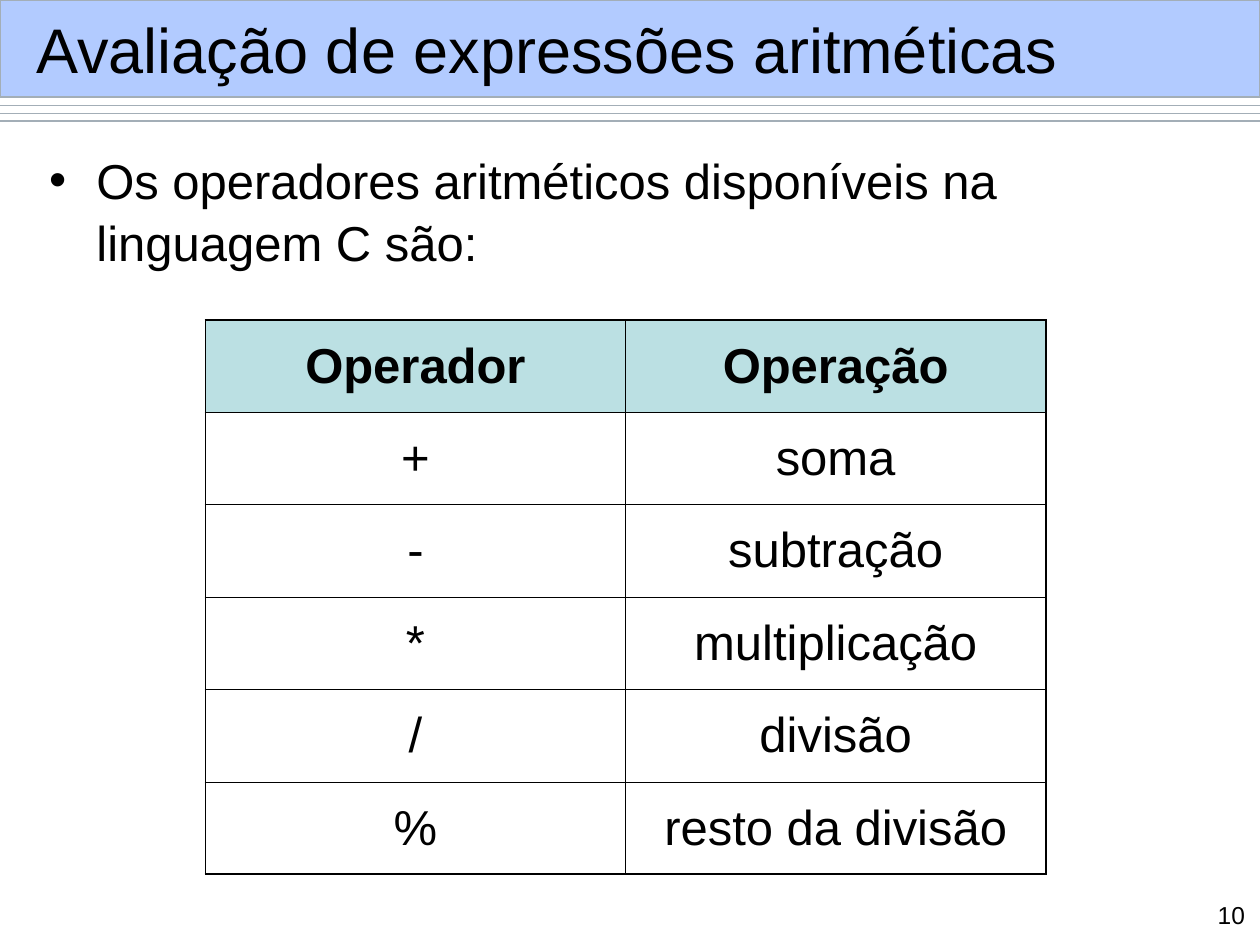
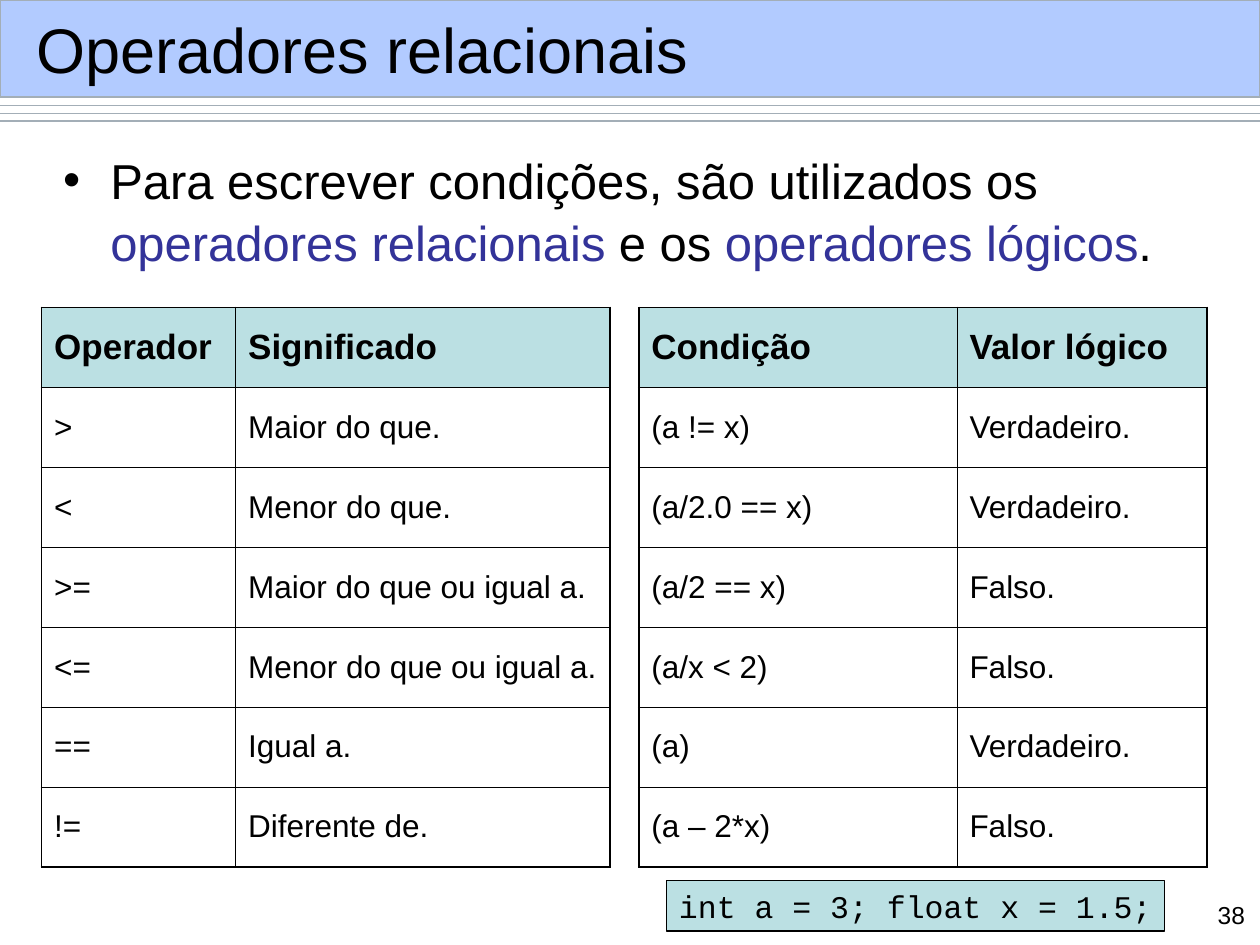
from dataclasses import dataclass
from typing import Any

from lxml.etree import SubElement
from pptx import Presentation
from pptx.dml.color import RGBColor
from pptx.enum.shapes import MSO_CONNECTOR, MSO_SHAPE
from pptx.enum.text import MSO_ANCHOR, MSO_AUTO_SIZE, PP_ALIGN
from pptx.oxml.ns import qn
from pptx.util import Inches, Pt


# Theme and grid
@dataclass(frozen=True)
class Theme:
    text: str = "000000"
    highlight: str = "333399"
    band: str = "6699FF"
    rule: str = "A3AEB7"
    panel: str = "BBE0E3"
    font: str = "Arial"
    code_font: str = "Courier New"
    title_size: int = 36
    body_size: int = 28
    header_size: int = 20
    small_size: int = 18
    number_size: int = 14
    thin_line: float = 0.75
    outer_border: float = 1.08
    inner_border: float = 0.45


THEME = Theme()
SLIDE_WIDTH, SLIDE_HEIGHT = Inches(10), Inches(7.5)
GRID_COLUMNS, GRID_ROWS = 100, 75


@dataclass(frozen=True)
class Box:
    """A place on the slide, in grid columns and rows."""
    column: float
    row: float
    width: float
    height: float


@dataclass(frozen=True)
class TableContent:
    box: Box
    column_widths: tuple[float, ...]
    rows: list[tuple[str, ...]]
    header_size: int = THEME.header_size
    body_size: int = THEME.small_size
    alignment: Any = PP_ALIGN.LEFT


@dataclass(frozen=True)
class SlideContent:
    title: str
    number: int
    body_box: Box
    body: list[tuple[str, str]]
    tables: list[TableContent]
    code: str = ""


TITLE_BOX = Box(1.9, 0.9, 96.4, 5.9)
NUMBER_BOX = Box(90.7, 70.9, 9.1, 2.6)
BAND_BOX = Box(0, 0, GRID_COLUMNS, 7.7)
CODE_BOX = Box(52.9, 69.9, 39.5, 4)
RULE_ROWS = (8.4, 9, 9.6)


def across(columns: float) -> int:
    return round(SLIDE_WIDTH * columns / GRID_COLUMNS)


def down(rows: float) -> int:
    return round(SLIDE_HEIGHT * rows / GRID_ROWS)


def place(box: Box) -> tuple[int, int, int, int]:
    return across(box.column), down(box.row), across(box.width), down(box.height)


# Formatting helpers
def set_attributes(target: Any, values: dict[str, Any]) -> None:
    for name, value in values.items():
        setattr(target, name, value)


def add_run(paragraph: Any, text: str, size: int, color: str = THEME.text,
            font: str = THEME.font, bold: bool = False) -> None:
    run = paragraph.add_run()
    run.text = text
    set_attributes(run.font, {"name": font, "size": Pt(size), "bold": bold})
    run.font.color.rgb = RGBColor.from_string(color)


def format_frame(frame: Any, anchor: Any = MSO_ANCHOR.TOP, wrap: bool = True,
                 auto_size: Any = MSO_AUTO_SIZE.NONE,
                 alignment: Any = PP_ALIGN.LEFT) -> Any:
    set_attributes(frame, {"word_wrap": wrap, "auto_size": auto_size,
                           "vertical_anchor": anchor})
    paragraph = frame.paragraphs[0]
    set_attributes(paragraph, {"alignment": alignment, "space_before": Pt(0)})
    return paragraph


def move_to(shape: Any, box: Box) -> None:
    set_attributes(shape, dict(zip(("left", "top", "width", "height"), place(box))))


def format_line(line: Any, color: str) -> None:
    line.color.rgb = RGBColor.from_string(color)
    line.width = Pt(THEME.thin_line)


def add_panel(slide: Any, box: Box, fill: str, line: str) -> Any:
    shape = slide.shapes.add_shape(MSO_SHAPE.RECTANGLE, *place(box))
    shape.shadow.inherit = False
    shape.fill.solid()
    shape.fill.fore_color.rgb = RGBColor.from_string(fill)
    format_line(shape.line, line)
    return shape


# Shared header: drawn once, then moved to the layout
def add_header(slide: Any) -> None:
    parts = []
    for row in RULE_ROWS:
        rule = slide.shapes.add_connector(
            MSO_CONNECTOR.STRAIGHT, 0, down(row), SLIDE_WIDTH, down(row))
        format_line(rule.line, THEME.rule)
        SubElement(rule._element.spPr, qn("a:effectLst"))
        parts.append(rule)
    band = add_panel(slide, BAND_BOX, THEME.band, THEME.rule)
    color = band._element.spPr.find(qn("a:solidFill"))[0]
    SubElement(color, qn("a:alpha"), val="50000")
    parts.append(band)
    layout_tree = slide.slide_layout.shapes._spTree
    for index, part in enumerate(parts):
        part._element.xpath("./*/p:cNvPr")[0].set("id", str(100 + index))
        layout_tree.insert(2 + index, part._element)


# Tables
def add_border(cell: Any, side: str, outer: bool) -> None:
    width = Pt(THEME.outer_border if outer else THEME.inner_border)
    border = SubElement(cell._tc.get_or_add_tcPr(), qn(f"a:ln{side}"), w=str(width))
    fill = SubElement(border, qn("a:solidFill"))
    SubElement(fill, qn("a:srgbClr"), val=THEME.text)


def add_table(slide: Any, content: TableContent) -> None:
    last_row = len(content.rows) - 1
    last_column = len(content.column_widths) - 1
    table = slide.shapes.add_table(
        last_row + 1, last_column + 1, *place(content.box)).table
    set_attributes(table, {"first_row": False, "horz_banding": False})
    for column, width in zip(table.columns, content.column_widths):
        column.width = across(width)
    for row_index, texts in enumerate(content.rows):
        header = row_index == 0
        for column_index, text in enumerate(texts):
            cell = table.cell(row_index, column_index)
            for side, outer in (("L", column_index == 0),
                                ("R", column_index == last_column),
                                ("T", header),
                                ("B", row_index == last_row)):
                add_border(cell, side, outer)
            if header:
                cell.fill.solid()
                cell.fill.fore_color.rgb = RGBColor.from_string(THEME.panel)
            else:
                cell.fill.background()
            cell.vertical_anchor = MSO_ANCHOR.MIDDLE
            paragraph = cell.text_frame.paragraphs[0]
            paragraph.alignment = content.alignment
            size = content.header_size if header else content.body_size
            add_run(paragraph, text, size, bold=header)


# Whole slide
def fill_slide(slide: Any, content: SlideContent) -> None:
    title, body = slide.shapes.title, slide.placeholders[1]
    move_to(title, TITLE_BOX)
    paragraph = format_frame(title.text_frame, MSO_ANCHOR.MIDDLE)
    add_run(paragraph, content.title, THEME.title_size)

    move_to(body, content.body_box)
    paragraph = format_frame(body.text_frame)
    paragraph.line_spacing = 1.05
    for text, color in content.body:
        add_run(paragraph, text, THEME.body_size, color)

    for table in content.tables:
        add_table(slide, table)

    if content.code:
        panel = add_panel(slide, CODE_BOX, THEME.panel, THEME.text)
        paragraph = format_frame(panel.text_frame, wrap=False,
                                 auto_size=MSO_AUTO_SIZE.SHAPE_TO_FIT_TEXT)
        add_run(paragraph, content.code, THEME.small_size, font=THEME.code_font)

    number = slide.shapes.add_textbox(*place(NUMBER_BOX))
    paragraph = format_frame(number.text_frame, alignment=PP_ALIGN.RIGHT)
    add_run(paragraph, str(content.number), THEME.number_size)


# Content
SLIDES = [
    SlideContent(
        title="Avaliação de expressões aritméticas",
        number=10,
        body_box=Box(2.9, 11.2, 94.6, 61.6),
        body=[("Os operadores aritméticos disponíveis na linguagem C são:", THEME.text)],
        tables=[TableContent(
            Box(16.3, 25.4, 66.7, 44), (33.35, 33.35),
            [("Operador", "Operação"), ("+", "soma"), ("-", "subtração"),
             ("*", "multiplicação"), ("/", "divisão"), ("%", "resto da divisão")],
            THEME.body_size, THEME.body_size, PP_ALIGN.CENTER)],
    ),
    SlideContent(
        title="Operadores relacionais",
        number=38,
        body_box=Box(4, 11.2, 92.5, 60.5),
        body=[("Para escrever condições, são utilizados os ", THEME.text),
              ("operadores relacionais", THEME.highlight),
              (" e os ", THEME.text),
              ("operadores lógicos", THEME.highlight),
              (".", THEME.text)],
        tables=[
            TableContent(
                Box(3.3, 24.4, 45.1, 44.4), (15.4, 29.7),
                [("Operador", "Significado"), (">", "Maior do que."),
                 ("<", "Menor do que."), (">=", "Maior do que ou igual a."),
                 ("<=", "Menor do que ou igual a."), ("==", "Igual a."),
                 ("!=", "Diferente de.")]),
            TableContent(
                Box(50.7, 24.4, 45.1, 44.4), (25.25, 19.85),
                [("Condição", "Valor lógico"), ("(a != x)", "Verdadeiro."),
                 ("(a/2.0 == x)", "Verdadeiro."), ("(a/2 == x)", "Falso."),
                 ("(a/x < 2)", "Falso."), ("(a)", "Verdadeiro."),
                 ("(a – 2*x)", "Falso.")]),
        ],
        code="int a = 3; float x = 1.5;",
    ),
]


def main() -> None:
    presentation = Presentation()
    set_attributes(presentation, {"slide_width": SLIDE_WIDTH,
                                  "slide_height": SLIDE_HEIGHT})
    layout = presentation.slide_layouts[1]
    for index, content in enumerate(SLIDES):
        slide = presentation.slides.add_slide(layout)
        if index == 0:
            add_header(slide)
        fill_slide(slide, content)
    presentation.save("out.pptx")


if __name__ == "__main__":
    main()
